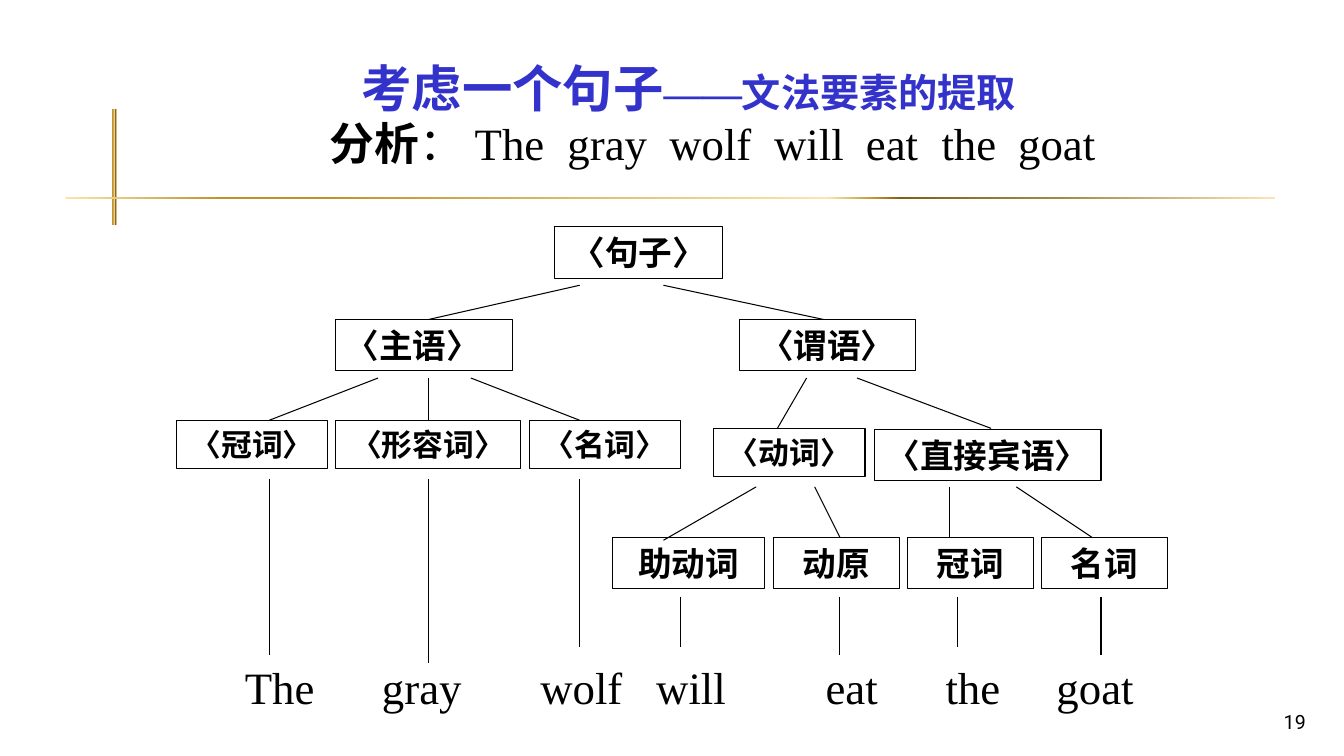
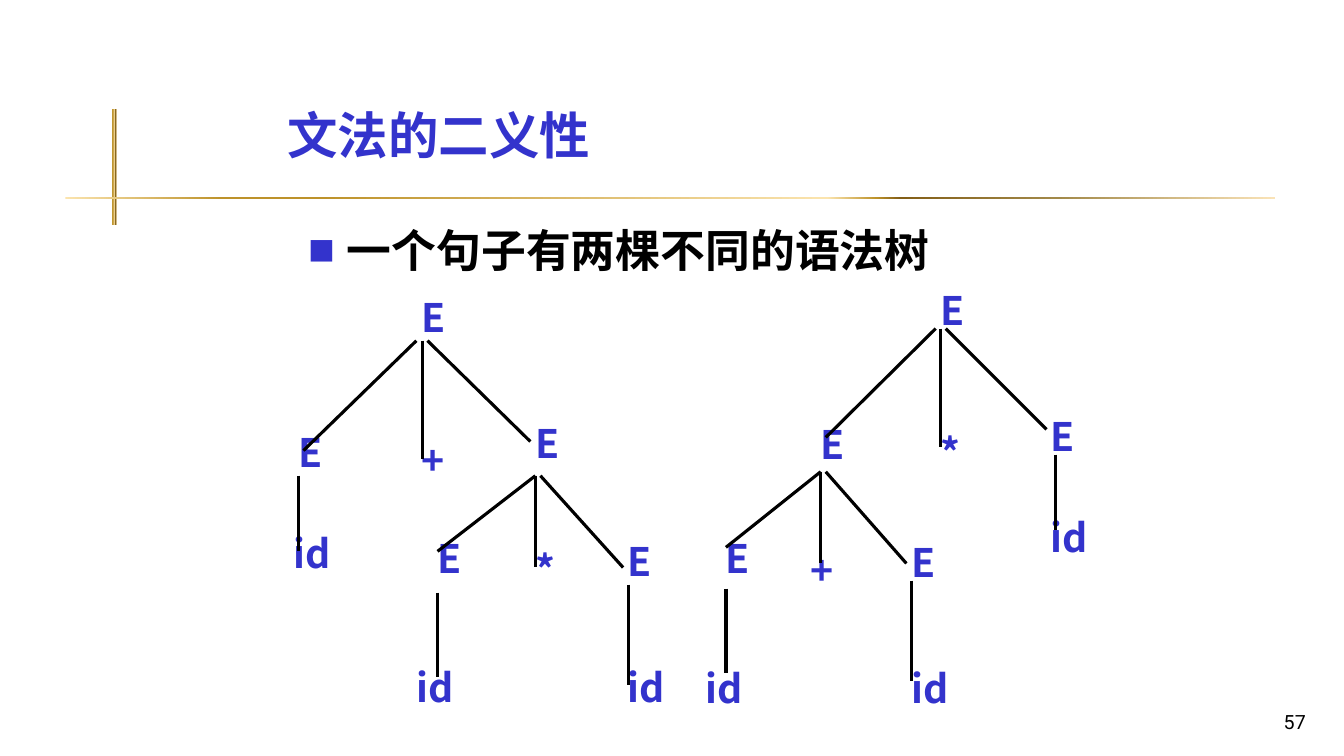
from lxml import etree
from pptx import Presentation
from pptx import util as u
from pptx.dml.color import RGBColor
from pptx.enum import shapes, text
from pptx.oxml import ns

BLUE = RGBColor(0x33, 0x33, 0xCC)
BLACK = RGBColor(0, 0, 0)
WHITE = RGBColor(0xFF, 0xFF, 0xFF)
GOLD_STOPS = [(0, "FBE4AE"), (13, "BD922A"), (21, "BD922A"), (63, "FBE4AE"),
              (67, "BD922A"), (69, "835E17"), (82, "A28949"), (100, "FAE3B7")]
SERIF, SANS = "Times New Roman", "Roboto"
CJK, CJK_BOLD = "Noto Sans CJK SC", "Noto Sans CJK JP"
LEFT, CENTER, RIGHT = text.PP_ALIGN.LEFT, text.PP_ALIGN.CENTER, text.PP_ALIGN.RIGHT
TOP, MIDDLE, BOTTOM = text.MSO_ANCHOR.TOP, text.MSO_ANCHOR.MIDDLE, text.MSO_ANCHOR.BOTTOM

NODE_H = {24: 0.51, 22: 0.48}
NODES = [
    ("〈句子〉", 5.5, 2.25, 1.67, 24), ("〈主语〉", 3.33, 3.17, 1.75, 24),
    ("〈谓语〉", 7.33, 3.17, 1.75, 24), ("〈冠词〉", 1.75, 4.17, 1.5, 22),
    ("〈形容词〉", 3.33, 4.17, 1.83, 22), ("〈名词〉", 5.25, 4.17, 1.5, 22),
    ("〈动词〉", 7.08, 4.25, 1.5, 22), ("〈直接宾语〉", 8.67, 4.26, 2.25, 24),
    ("助动词", 6.08, 5.33, 1.5, 24), ("动原", 7.67, 5.33, 1.25, 24),
    ("冠词", 9, 5.33, 1.25, 24), ("名词", 10.33, 5.33, 1.25, 24),
]
BRANCHES = [
    (5.75, 2.83, 4.25, 3.17), (6.58, 2.83, 8.17, 3.17),
    (3.75, 3.75, 2.67, 4.17), (4.25, 3.75, 4.25, 4.17), (4.67, 3.75, 5.75, 4.17),
    (8, 3.75, 7.71, 4.25), (8.5, 3.75, 9.83, 4.25),
    (7.5, 4.83, 6.58, 5.36), (8.08, 4.83, 8.33, 5.33),
    (9.42, 4.83, 9.42, 5.33), (10.08, 4.83, 10.83, 5.33),
]
LEAF_LINES = [(2.67, 4.75, 6.5), (4.25, 4.75, 6.58), (5.75, 4.75, 6.42), (6.75, 5.92, 6.42),
              (8.33, 5.92, 6.5), (9.5, 5.92, 6.42), (10.92, 5.92, 6.5)]
WORDS = "The gray wolf will eat the goat".split()
SENTENCE_X = [4.71, 5.63, 6.64, 7.68, 8.59, 9.34, 10.1]
LEAF_X = [2.43, 3.79, 5.36, 6.51, 8.19, 9.38, 10.48]

SUM_TREE = [
    ("E", 4.08, 2.88), ("E", 2.86, 4.22), ("+", 4.08, 4.3), ("E", 5.21, 4.13),
    ("id", 2.81, 5.22), ("E", 4.24, 5.27), ("*", 5.21, 5.38), ("E", 6.13, 5.3),
    ("id", 4.03, 6.55), ("id", 6.13, 6.55),
]
SUM_EDGES = [
    (4.13, 3.38, 3.01, 4.47), (4.19, 3.38, 4.19, 4.55), (4.24, 3.38, 5.26, 4.38),
    (2.96, 4.72, 2.96, 5.47), (5.31, 4.72, 4.34, 5.47), (5.31, 4.72, 5.31, 5.63),
    (5.36, 4.72, 6.18, 5.63), (4.34, 5.88, 4.34, 6.72), (6.23, 5.8, 6.23, 6.8),
]
PRODUCT_TREE = [
    ("E", 9.23, 2.81), ("E", 8.04, 4.14), ("*", 9.23, 4.22), ("E", 10.32, 4.06),
    ("id", 10.32, 5.06), ("E", 7.1, 5.27), ("+", 7.94, 5.39), ("E", 8.94, 5.31),
    ("id", 6.9, 6.56), ("id", 8.94, 6.56),
]
PRODUCT_EDGES = [
    (9.28, 3.26, 8.19, 4.34), (9.33, 3.26, 9.33, 4.43), (9.38, 3.26, 10.38, 4.26),
    (10.47, 4.51, 10.47, 5.26), (8.14, 4.68, 7.2, 5.43), (8.14, 4.68, 8.14, 5.59),
    (8.19, 4.68, 8.99, 5.59), (7.2, 5.84, 7.2, 6.68), (9.04, 5.76, 9.04, 6.76),
]


def inches(*values):
    return [u.Inches(v) for v in values]


def add_xml(parent, tag, **attrs):
    return etree.SubElement(parent, ns.qn(tag), attrs)


def format_frame(sp, anchor=TOP, align=LEFT):
    tf = sp.text_frame
    tf.word_wrap = True
    tf.auto_size = text.MSO_AUTO_SIZE.NONE
    tf.vertical_anchor = anchor
    tf.margin_left = tf.margin_right = u.Inches(0.1)
    tf.margin_top = tf.margin_bottom = 0
    p = tf.paragraphs[0]
    p.alignment = align
    p.space_before = u.Pt(0)
    return p


def add_run(p, words, size, font, color=BLACK, bold=False, east=CJK):
    r = p.add_run()
    r.text = words
    r.font.size = u.Pt(size)
    r.font.bold = bold
    r.font.color.rgb = color
    r.font.name = font
    add_xml(r.font._element, "a:ea", typeface=east)


def add_text(s, box, anchor=TOP, align=LEFT):
    return format_frame(s.shapes.add_textbox(*inches(*box)), anchor, align)


def place(sp, box):
    sp.left, sp.top, sp.width, sp.height = inches(*box)
    return sp


def set_title(s, box, anchor, align, runs):
    p = format_frame(place(s.shapes.title, box), anchor, align)
    for words, size, east in runs:
        add_run(p, words, size, SERIF, BLUE, True, east)


def add_rect(s, box):
    sp = s.shapes.add_shape(shapes.MSO_SHAPE.RECTANGLE, *inches(*box))
    sp.shadow.inherit = False
    return sp


def add_band(s, master, box):
    sp = add_rect(s, box)
    sp.line.fill.background()
    sp.fill.gradient()
    sp.fill.gradient_angle = 0
    stops = sp.element.find(".//" + ns.qn("a:gsLst"))
    for stop in list(stops):
        stops.remove(stop)
    for pos, color in GOLD_STOPS:
        add_xml(add_xml(stops, "a:gs", pos=str(pos * 1000)), "a:srgbClr", val=color)
    master.shapes.element.insert(2, sp.element)


def add_line(s, x1, y1, x2, y2, width):
    c = s.shapes.add_connector(shapes.MSO_CONNECTOR.STRAIGHT, *inches(x1, y1, x2, y2))
    c.line.color.rgb = BLACK
    c.line.width = u.Pt(width)
    add_xml(c.element.spPr, "a:effectLst")


def add_node(s, label, x, y, w, size):
    sp = add_rect(s, (x, y, w, NODE_H[size]))
    sp.fill.solid()
    sp.fill.fore_color.rgb = WHITE
    sp.line.color.rgb = BLACK
    sp.line.width = u.Pt(0.75)
    p = format_frame(sp, MIDDLE, LEFT if label == "〈主语〉" else CENTER)
    add_run(p, label, size, CJK_BOLD, bold=True, east=CJK_BOLD)


def add_tabs(p, start, stops):
    tabs = add_xml(p._p.get_or_add_pPr(), "a:tabLst")
    for x in stops:
        add_xml(tabs, "a:tab", pos=str(u.Inches(x - start)), algn="l")


def add_page_number(s, number):
    add_run(add_text(s, (10.27, 6.78, 2.78, 0.5), BOTTOM, RIGHT), number, 14, SANS)


def add_syntax_tree(s, labels, edges):
    for label, x, y in labels:
        p = add_text(s, (x, y + 0.03, 0.75, 0.56))
        add_run(p, label, 28, CJK, BLUE, True)
    for edge in edges:
        add_line(s, *edge, 2.25)


def add_bullet(s, box, words):
    p = format_frame(place(s.placeholders[1], box))
    pPr = p._p.get_or_add_pPr()
    pPr.set("marL", str(u.Inches(0.38)))
    pPr.set("indent", str(u.Inches(-0.38)))
    add_xml(add_xml(pPr, "a:buClr"), "a:srgbClr", val=str(BLUE))
    add_xml(pPr, "a:buSzPct", val="60000")
    add_xml(pPr, "a:buFont", typeface=CJK)
    add_xml(pPr, "a:buChar", char="■")
    add_run(p, words, 32, SANS, bold=True)


def build_sentence(s):
    set_title(s, (2.58, 0.25, 8.5, 0.92), BOTTOM, CENTER,
              [("考虑一个句子", 36, CJK), ("——", 28, SERIF), ("文法要素的提取", 28, CJK)])
    p = add_text(s, (3.17, 1.15, 8, 0.64))
    add_tabs(p, 3.27, SENTENCE_X)
    add_run(p, "分析", 32, CJK_BOLD, bold=True, east=CJK_BOLD)
    add_run(p, "：", 32, CJK)
    add_run(p, "\t" + "\t".join(WORDS), 32, SERIF)
    for node in NODES:
        add_node(s, *node)
    for branch in BRANCHES:
        add_line(s, *branch, 0.75)
    p = add_text(s, (LEAF_X[0] - 0.1, 6.54, 9.08, 0.5))
    add_tabs(p, LEAF_X[0], LEAF_X[1:])
    add_run(p, "\t".join(WORDS), 32, SERIF)
    for x, top, bottom in LEAF_LINES:
        add_line(s, x, top, x, bottom, 0.75)
    add_page_number(s, "19")


def build_ambiguity(s):
    set_title(s, (2.75, 0.91, 8.92, 0.84), MIDDLE, LEFT, [("文法的二义性", 36, CJK)])
    add_syntax_tree(s, PRODUCT_TREE, PRODUCT_EDGES)
    add_syntax_tree(s, SUM_TREE, SUM_EDGES)
    add_bullet(s, (2.96, 2.21, 8.5, 0.84), "一个句子有两棵不同的语法树")
    add_page_number(s, "57")


def main():
    prs = Presentation()
    prs.slide_width, prs.slide_height = inches(13.33, 7.5)
    sentence = prs.slides.add_slide(prs.slide_layouts[5])
    for box in [(0.65, 1.95, 12, 0.03), (1.11, 1.08, 0.05, 1.15)]:
        add_band(sentence, prs.slide_master, box)
    build_sentence(sentence)
    build_ambiguity(prs.slides.add_slide(prs.slide_layouts[1]))
    prs.save("out.pptx")


if __name__ == "__main__":
    main()
